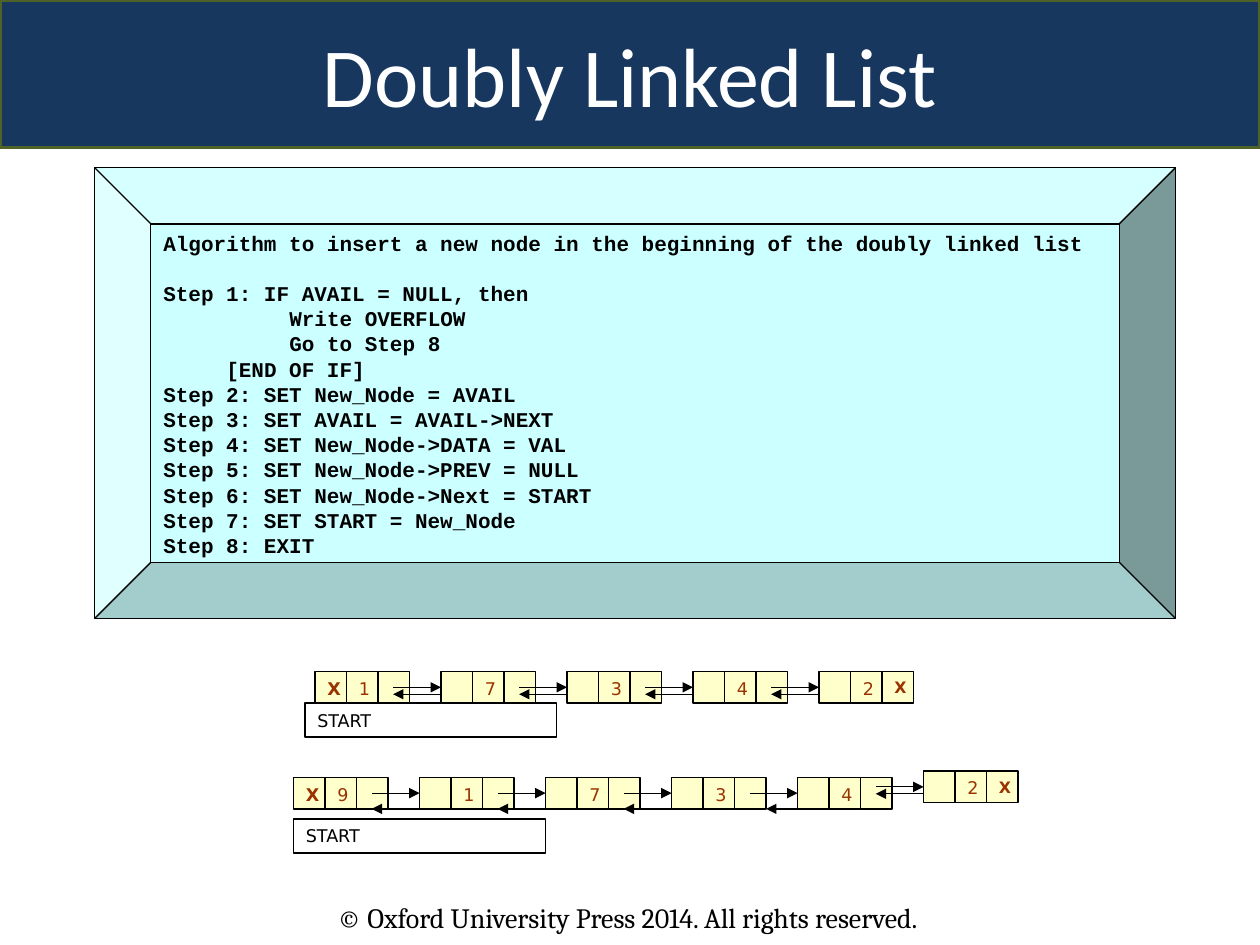
from lxml.etree import SubElement
from pptx import Presentation
from pptx.dml.color import RGBColor
from pptx.enum.shapes import MSO_CONNECTOR, MSO_SHAPE
from pptx.enum.text import MSO_ANCHOR, MSO_AUTO_SIZE, PP_ALIGN
from pptx.oxml.ns import qn
from pptx.util import Inches, Pt

NAVY = RGBColor(0x17, 0x37, 0x5E)
OLIVE = RGBColor(0x4F, 0x62, 0x28)
CYAN = RGBColor(0xCC, 0xFF, 0xFF)
CREAM = RGBColor(0xFF, 0xFF, 0xCC)
RUST = RGBColor(0x99, 0x33, 0x00)
BLACK = RGBColor(0, 0, 0)
WHITE = RGBColor(0xFF, 0xFF, 0xFF)

TITLE = "Doubly Linked List"
FOOTER = "© Oxford University Press 2014. All rights reserved."
ALGORITHM = [
    "Algorithm to insert a new node in the beginning of the doubly linked list",
    "Step 1: IF AVAIL = NULL, then",
    "\t\tWrite OVERFLOW",
    "\t\tGo to Step 8",
    "\t[END OF IF]",
    "Step 2: SET New_Node = AVAIL",
    "Step 3: SET AVAIL = AVAIL->NEXT",
    "Step 4: SET New_Node->DATA = VAL",
    "Step 5: SET New_Node->PREV = NULL",
    "Step 6: SET New_Node->Next = START",
    "Step 7: SET START = New_Node",
    "Step 8: EXIT",
]
LISTS = [
    {
        "left": 2.5,
        "values": "17342",
        "tops": [5.33] * 5,
        "back_drops": [0.18] * 4,
        "back_shifts": [0] * 4,
        "start": (2.42, 5.58),
    },
    {
        "left": 2.33,
        "values": "917342",
        "tops": [6.17] * 5 + [6.12],
        "back_drops": [0.25] * 4 + [0.18],
        "back_shifts": [0, 0, 0, 0.13, 0],
        "start": (2.33, 6.5),
    },
]
CELL = 0.25
NODE_PITCH = 1
LINK_LENGTH = 0.38
CODE_LINE = Pt(14.4)


def add_span(para, text, font, size, color, bold=False):
    span = para.add_run()
    span.text = text
    span.font.name = font
    span.font.size = Pt(size)
    span.font.bold = bold
    span.font.color.rgb = color


def add_box(shapes, kind, left, top, width, height, fill=None):
    box = shapes.add_shape(kind, Inches(left), Inches(top), Inches(width), Inches(height))
    box.shadow.inherit = False
    if fill is None:
        box.fill.background()
    else:
        box.fill.solid()
        box.fill.fore_color.rgb = fill
    box.line.color.rgb = BLACK
    box.line.width = Pt(0.75)
    box.text_frame.word_wrap = True
    box.text_frame.vertical_anchor = MSO_ANCHOR.TOP
    box.text_frame.paragraphs[0].alignment = PP_ALIGN.LEFT
    return box


def add_cell(shapes, left, top, text="", size=10):
    cell = add_box(shapes, MSO_SHAPE.RECTANGLE, left, top, CELL, CELL, CREAM)
    if text:
        add_span(cell.text_frame.paragraphs[0], text, "DejaVu Sans", size, RUST, text == "X")
    return cell


def add_arrow(shapes, start_x, end_x, y):
    arrow = shapes.add_connector(
        MSO_CONNECTOR.STRAIGHT, Inches(start_x), Inches(y), Inches(end_x), Inches(y)
    )
    arrow.line.color.rgb = BLACK
    arrow.line.width = Pt(0.75)
    SubElement(arrow.line._get_or_add_ln(), qn("a:tailEnd"), type="triangle")
    SubElement(arrow._element.spPr, qn("a:effectLst"))
    return arrow


def add_title(page):
    title = page.shapes.title
    title.left, title.top, title.width, title.height = 0, 0, Inches(10), Inches(1.17)
    title.fill.solid()
    title.fill.fore_color.rgb = NAVY
    title.line.color.rgb = OLIVE
    title.line.width = Pt(2)
    title.text_frame.auto_size = MSO_AUTO_SIZE.NONE
    title.text_frame.vertical_anchor = MSO_ANCHOR.MIDDLE
    para = title.text_frame.paragraphs[0]
    para.alignment = PP_ALIGN.CENTER
    add_span(para, TITLE, "Calibri", 48, WHITE)


def add_algorithm(page):
    panel = add_box(page.shapes, MSO_SHAPE.BEVEL, 0.75, 1.33, 8.58, 3.58, CYAN)
    panel.adjustments[0] = 0.125
    frame = panel.text_frame
    for index, line in enumerate(ALGORITHM):
        para = frame.add_paragraph() if index else frame.paragraphs[0]
        para.alignment = PP_ALIGN.LEFT
        para.line_spacing = CODE_LINE
        add_span(para, line, "Courier New", 12, BLACK, True)
    frame.paragraphs[0].space_after = CODE_LINE


def add_linked_list(page, chain):
    shapes = page.shapes.add_group_shape().shapes
    last = len(chain["values"]) - 1
    previous_cells = []
    for index, (value, top) in enumerate(zip(chain["values"], chain["tops"])):
        left = chain["left"] + index * NODE_PITCH
        previous_cells.append(add_cell(shapes, left, top, "" if index else "X"))
        add_cell(shapes, left + CELL, top, value)
        add_cell(shapes, left + 2 * CELL, top, "X" if index == last else "", 9)

    links = zip(previous_cells[1:], chain["tops"][1:], chain["back_drops"], chain["back_shifts"])
    for index, (target, top, drop, shift) in enumerate(links, 1):
        end = chain["left"] + index * NODE_PITCH
        forward = add_arrow(shapes, end - LINK_LENGTH, end, top + CELL / 2)
        forward.end_connect(target, 1)
        add_arrow(shapes, end + shift, end + shift - LINK_LENGTH, top + drop)

    start = add_box(page.shapes, MSO_SHAPE.RECTANGLE, *chain["start"], 2, 0.27)
    start.text_frame.vertical_anchor = MSO_ANCHOR.MIDDLE
    add_span(start.text_frame.paragraphs[0], "START", "DejaVu Sans", 10, BLACK)


def add_footer(page):
    footer = page.shapes.add_textbox(Inches(2.58), Inches(7.1), Inches(5.92), Inches(0.37))
    footer.text_frame.word_wrap = True
    add_span(footer.text_frame.paragraphs[0], FOOTER, "Cambria", 16, BLACK)


def main():
    deck = Presentation()
    deck.slide_width, deck.slide_height = Inches(10), Inches(7.5)
    page = deck.slides.add_slide(deck.slide_layouts[5])
    add_title(page)
    add_algorithm(page)
    for chain in LISTS:
        add_linked_list(page, chain)
    add_footer(page)
    deck.save("out.pptx")


if __name__ == "__main__":
    main()
